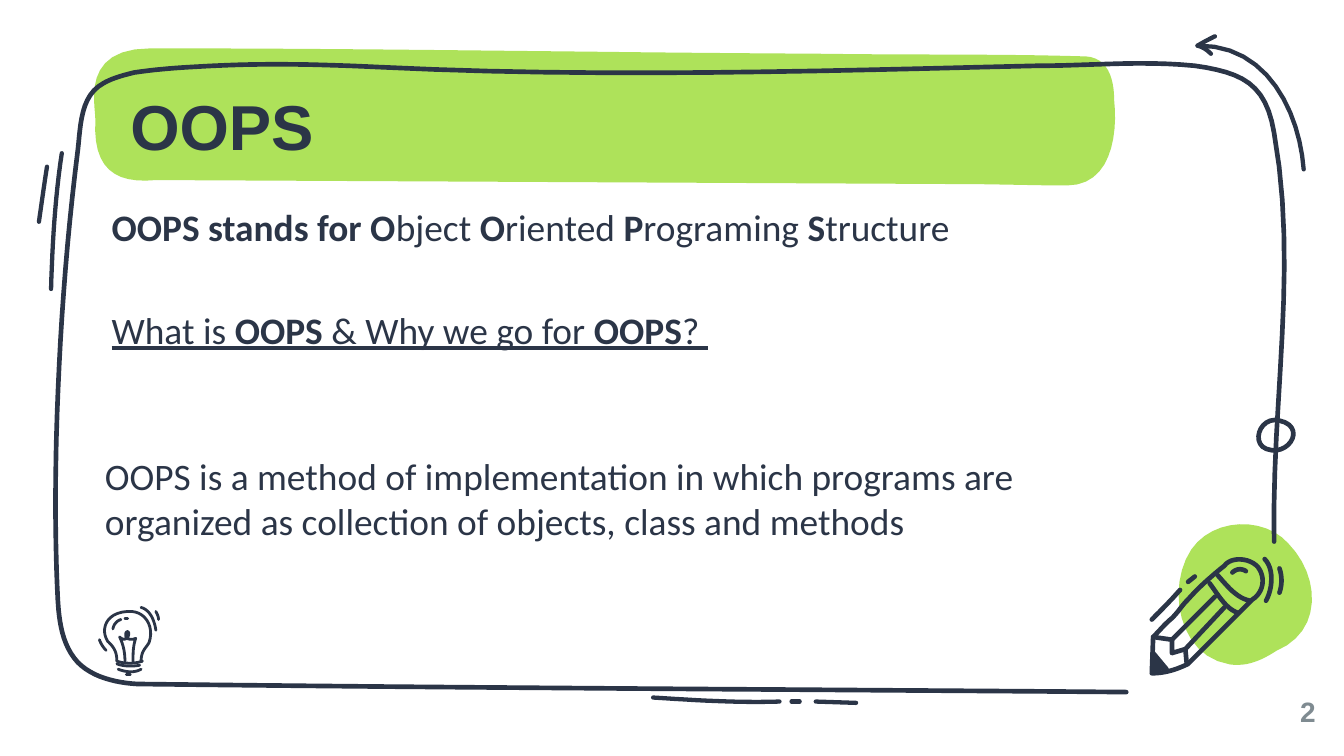
from pptx import Presentation
from pptx import util as u
from pptx.dml.color import RGBColor
from pptx.enum import text
from pptx.oxml import parse_xml
from pptx.oxml.ns import nsdecls

Pt = u.Pt
INK = RGBColor(0x2B, 0x35, 0x47)
GREEN = RGBColor(0xAE, 0xE2, 0x5A)
GREY = RGBColor(0x7F, 0x8B, 0x91)
UNIT = 0.72   # points per unit of the outlines below
STEPS = 12    # line segments per curve

# Text: (left, top, width, height) in points and runs of (text, bold)
TITLE = ("OOPS", (69.8, 54, 506.2, 31))
BODIES = [
    ((59.8, 109.4, 563, 31.7), False,
     [("OOPS stands for O", True), ("bject ", False), ("O", True),
      ("riented ", False), ("P", True), ("rograming ", False),
      ("S", True), ("tructure", False)]),
    ((56.2, 243, 561.6, 90), False,
     [("OOPS is a method of implementation in which programs are "
       "organized as collection of objects, class and methods", False)]),
    ((59.8, 164.5, 566.6, 27), True,
     [("What is ", False), ("OOPS ", True), ("& Why we go for ", False),
      ("OOPS", True), ("? ", False)]),
]
NUMBER = ("2", (661.7, 369.4, 43.2, 23.8))

# Filled outlines: (rotation, colour, outline)
BLOBS = [
    (345.3, GREEN, """M 967 414 C 955 390 918 381 896 400
        C 871 422 866 474 902 490 C 914 495 926 493 938 489
        C 975 484 984 444 967 414 Z"""),
    (0, GREEN, """M 829 74 C 829 58 824 43 808 42 C 741 40 675 41 608 40
        C 435 39 285 36 112 36 C 60 36 71 77 71 89
        C 69 125 85 137 116 134 L 316 135 L 715 137
        C 742 137 768 138 794 138 C 826 138 832 102 829 74 Z"""),
]
PENCIL_TIP = (0, INK, "M 858 486 L 868 498 L 857 501 Z")

# Hand-drawn strokes: (line width, outline)
FRAME = [
    (2.5, """M 838 515 C 593 513 347 512 102 509 C 86 508 69 504 58 493
        C 46 480 44 462 43 446 C 41 405 41 365 42 325
        C 44 253 49 182 58 111 C 60 93 60 71 77 62
        C 84 58 92 56 100 54 C 120 51 140 50 159 49
        C 200 47 241 48 282 50 C 445 58 609 53 772 49
        C 812 49 848 45 889 49 C 924 54 942 62 948 99
        C 966 199 946 299 948 403"""),
    # arrow
    (2.3, """M 904 27 C 900 29 896 31 891 34 C 895 35 898 37 901 40
        M 891 34 C 944 33 967 85 970 126"""),
    # ring
    (2.5, "M 952 313 C 937 309 929 333 946 335 C 961 337 971 317 952 313 Z"),
    # dashes below
    (2.3, "M 486 519 C 517 521 548 523 580 522"),
    (2.3, "M 589 522 L 595 522"),
    (2.3, "M 607 522 L 637 523"),
    # dashes on the left
    (2.3, "M 46 114 C 41 147 39 181 38 215"),
    (2.3, "M 35 124 C 33 137 31 151 29 165"),
]
PENCIL = (2.5, """M 857 461 C 864 454 871 447 878 439
    M 884 433 L 889 429 M 952 423 C 954 429 954 435 952 441
    M 941 416 C 948 423 947 438 942 447 M 917 426 C 920 423 924 423 927 425
    M 936 422 C 930 415 916 414 911 421 C 901 429 892 437 884 446
    C 879 451 877 455 872 460 C 867 464 863 469 858 474 L 857 501
    C 867 501 876 498 884 494 L 932 446 C 940 441 942 430 936 422 Z
    M 906 428 C 913 436 920 445 930 447
    M 900 434 C 906 442 912 453 921 456
    M 858 474 L 872 476 L 904 444 M 872 476 L 872 486 L 882 483 L 911 452
    M 882 483 L 883 494 M 858 486 L 868 498""")
BULB = (1.5, """M 94 502 L 97 502 M 79 484 C 77 482 75 479 74 476
    M 87 494 C 92 496 99 496 104 495
    M 88 498 C 93 500 100 501 105 498
    M 116 455 C 117 457 118 459 118 461
    M 105 452 C 112 454 115 462 116 469
    M 87 492 C 87 484 84 481 80 477 C 75 469 78 456 95 455
    C 108 454 115 466 111 478 C 109 482 105 484 105 492
    M 87 492 C 93 494 100 494 106 492
    M 93 492 C 93 486 92 480 89 474 C 91 476 93 476 94 475
    C 93 471 94 470 95 470 C 97 471 95 475 94 475
    C 97 476 99 476 101 475 C 99 481 99 486 99 492
    M 84 468 C 85 464 87 462 90 461 M 93 460 L 95 460""")


def contours(outline):
    """Turn M, L, C and Z commands into [points, closed] pairs."""
    result, words = [], iter(outline.split())

    def point():
        return float(next(words)), float(next(words))

    for word in words:
        if word == "M":
            result.append([[point()], False])
        elif word == "L":
            result[-1][0].append(point())
        elif word == "Z":
            result[-1][1] = True
        else:
            a, b, c, d = result[-1][0][-1], point(), point(), point()
            for i in range(1, STEPS + 1):
                t = i / STEPS
                k = 1 - t
                result[-1][0].append(tuple(
                    k**3 * a[n] + 3*k*k*t * b[n] + 3*k*t*t * c[n] + t**3 * d[n]
                    for n in (0, 1)))
    return result


def draw(s, outline):
    builder = None
    for points, closed in contours(outline):
        points = [(Pt(x * UNIT), Pt(y * UNIT)) for x, y in points]
        if builder is None:
            builder = s.shapes.build_freeform(*points[0], scale=1.0)
        else:
            builder.move_to(*points[0])
        builder.add_line_segments(points[1:], close=closed)
    sp = builder.convert_to_shape()
    sp.shadow.inherit = False
    return sp


def add_blob(s, rotation, color, outline):
    sp = draw(s, outline)
    sp.rotation = rotation
    sp.fill.solid()
    sp.fill.fore_color.rgb = color
    sp.line.fill.background()


def add_stroke(s, width, outline):
    sp = draw(s, outline)
    sp.fill.background()
    sp.line.color.rgb = INK
    sp.line.width = Pt(width)
    ln = sp.line._get_or_add_ln()
    ln.set("cap", "rnd")
    ln.append(parse_xml(f"<a:round {nsdecls('a')}/>"))


def place(sp, box, anchor):
    sp.left, sp.top, sp.width, sp.height = map(Pt, box)
    tf = sp.text_frame
    tf.word_wrap = True
    tf.auto_size = text.MSO_AUTO_SIZE.NONE
    tf.vertical_anchor = anchor
    tf.margin_left = tf.margin_top = tf.margin_right = tf.margin_bottom = 0
    return tf.paragraphs[0]


def add_run(p, words, font, size, color, bold, underline=False):
    r = p.add_run()
    r.text = words
    r.font.name, r.font.size = font, Pt(size)
    r.font.bold, r.font.underline = bold, underline
    r.font.color.rgb = color


prs = Presentation()
prs.slide_width, prs.slide_height = Pt(720), Pt(405)
s = prs.slides.add_slide(prs.slide_layouts[5])

# Background drawing
for blob in BLOBS:
    add_blob(s, *blob)
for stroke in FRAME:
    add_stroke(s, *stroke)

# Title, brought in front of the green band
title = s.shapes.title
title._element.getparent().append(title._element)
p = place(title, TITLE[1], text.MSO_ANCHOR.MIDDLE)
p.alignment = text.PP_ALIGN.LEFT
p.line_spacing = 0.9
add_run(p, TITLE[0], "Arial", 34, INK, True)

# Body text and slide number
for box, underline, runs in BODIES:
    p = place(s.shapes.add_textbox(0, 0, 0, 0), box, text.MSO_ANCHOR.TOP)
    for words, bold in runs:
        add_run(p, words, "Calibri", 20, INK, bold, underline)
p = place(s.shapes.add_textbox(0, 0, 0, 0), NUMBER[1], text.MSO_ANCHOR.MIDDLE)
p.alignment = text.PP_ALIGN.RIGHT
add_run(p, NUMBER[0], "Arial", 15, GREY, True)

# Icons
add_blob(s, *PENCIL_TIP)
add_stroke(s, *PENCIL)
add_stroke(s, *BULB)

prs.save("out.pptx")
